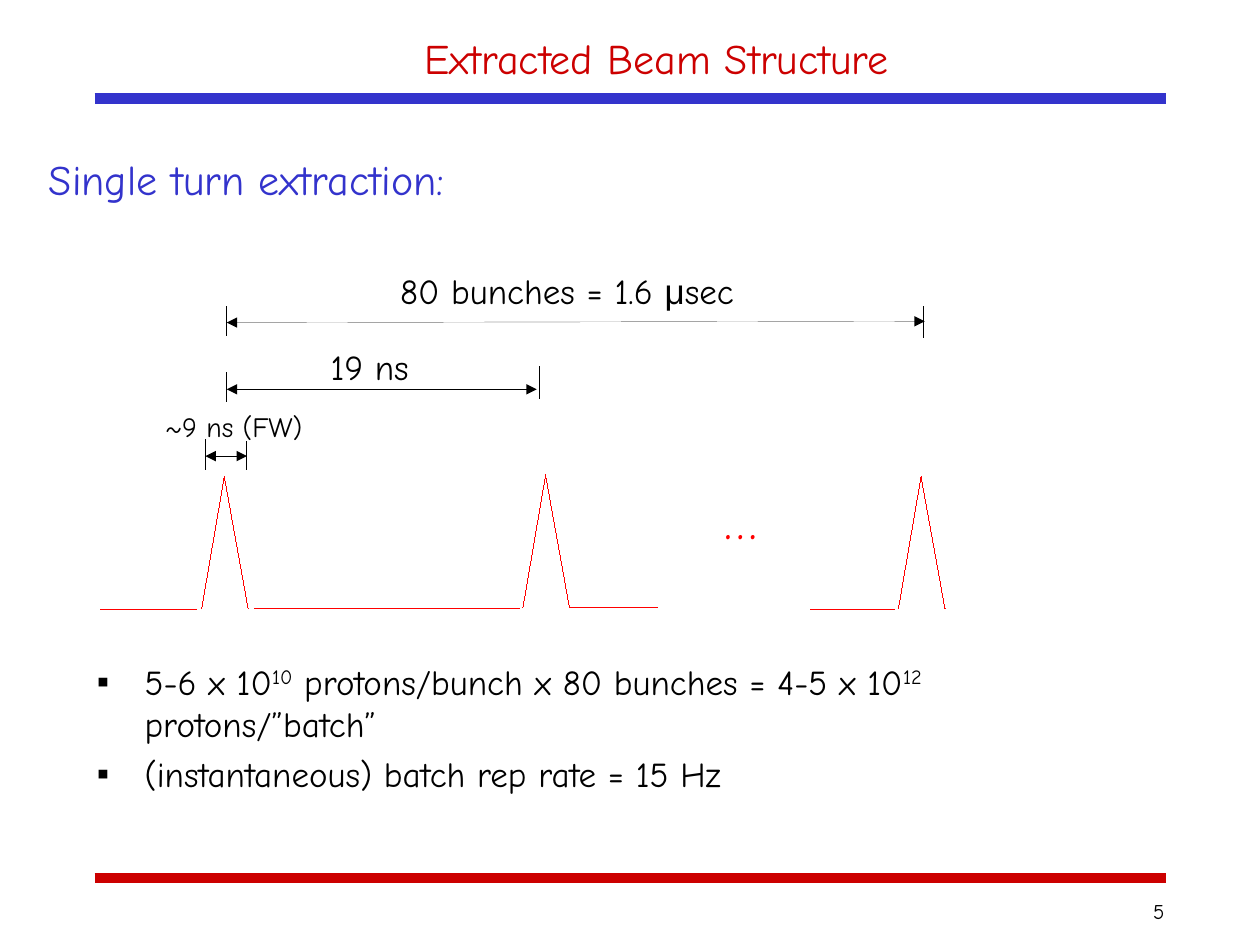
from dataclasses import dataclass

from lxml import etree
from pptx import Presentation, util as u
from pptx.dml.color import RGBColor
from pptx.enum import shapes, text
from pptx.oxml.ns import qn

COLORS = {"red": "CC0000", "blue": "3333CC", "signal": "FF0000", "ink": "000000"}
BODY_FONT, SYMBOL_FONT = "Comic Neue", "Arial"
LEFT, CENTER, RIGHT = text.PP_ALIGN.LEFT, text.PP_ALIGN.CENTER, text.PP_ALIGN.RIGHT
HAIRLINE = 0
PULSE_HEIGHT, PULSE_RISE, PULSE_FALL = 1.05, 0.18, 0.19
BULLET_INDENT = 0.38


@dataclass
class Run:
    words: str
    font: str = BODY_FONT
    superscript: bool = False


@dataclass
class Label:
    left: float
    top: float
    width: float
    height: float
    size: float
    color: str
    paragraphs: list[list[Run]]
    align: text.PP_ALIGN = CENTER
    bullet: str = ""
    anchor: text.MSO_ANCHOR = text.MSO_ANCHOR.TOP


@dataclass
class Line:
    x1: float
    y1: float
    x2: float
    y2: float
    color: str = "signal"
    width: float = HAIRLINE
    arrows: bool = False


@dataclass
class Pulse:
    peak: float
    base: float


@dataclass
class Span:
    """A double-headed arrow between two end ticks."""
    arrow: Line
    ticks: list[Line]


def tick(x: float, top: float, bottom: float) -> Line:
    return Line(x, top, x, bottom, "ink")


def arrow(x1: float, y1: float, x2: float, y2: float) -> Line:
    return Line(x1, y1, x2, y2, "ink", arrows=True)


def draw_line(page, line: Line) -> None:
    connector = page.shapes.add_connector(
        shapes.MSO_CONNECTOR.STRAIGHT,
        u.Inches(line.x1), u.Inches(line.y1), u.Inches(line.x2), u.Inches(line.y2))
    connector.line.color.rgb = RGBColor.from_string(COLORS[line.color])
    outline = connector.line._get_or_add_ln()
    # line.width drops a zero, which would bring back the theme's thicker line
    outline.set("w", str(u.Pt(line.width)))
    if line.arrows:
        for end in ("a:headEnd", "a:tailEnd"):
            etree.SubElement(outline, qn(end), type="triangle")
    etree.SubElement(connector._element.spPr, qn("a:effectLst"))


def draw_pulse(page, pulse: Pulse) -> None:
    top = pulse.base - PULSE_HEIGHT
    draw_line(page, Line(pulse.peak - PULSE_RISE, pulse.base, pulse.peak, top))
    draw_line(page, Line(pulse.peak, top, pulse.peak + PULSE_FALL, pulse.base))


def draw_span(page, span: Span) -> None:
    for line in [*span.ticks, span.arrow]:
        draw_line(page, line)


def add_bullet(para, mark: str) -> None:
    properties = para._p.get_or_add_pPr()
    properties.set("marL", str(u.Inches(BULLET_INDENT)))
    properties.set("indent", str(-u.Inches(BULLET_INDENT)))
    etree.SubElement(properties, qn("a:buFont"), typeface=SYMBOL_FONT)
    etree.SubElement(properties, qn("a:buChar"), char=mark)


def draw_label(page, label: Label) -> None:
    box = page.shapes.add_textbox(u.Inches(label.left), u.Inches(label.top),
                                  u.Inches(label.width), u.Inches(label.height))
    frame = box.text_frame
    frame.word_wrap = True
    frame.vertical_anchor = label.anchor
    for index, runs in enumerate(label.paragraphs):
        para = frame.add_paragraph() if index else frame.paragraphs[0]
        if label.bullet:
            add_bullet(para, label.bullet)
        para.alignment = label.align
        if index:
            para.space_before = u.Pt(5)
        for run in runs:
            span = para.add_run()
            span.text = run.words
            span.font.name = run.font
            span.font.size = u.Pt(label.size)
            span.font.color.rgb = RGBColor.from_string(COLORS[label.color])
            if run.superscript:
                span._r.get_or_add_rPr().set("baseline", "30000")


# Rules above and below the content
RULES = [Line(0.75, 6.97, 9.25, 6.97, "red", 6),
         Line(0.75, 0.78, 9.25, 0.78, "blue", 6)]

# Beam signal: baselines and bunches
BASELINES = [Line(0.8, 4.84, 1.56, 4.84), Line(2.02, 4.83, 4.12, 4.83),
             Line(4.52, 4.82, 5.22, 4.82), Line(6.43, 4.84, 7.1, 4.84)]
PULSES = [Pulse(1.78, 4.83), Pulse(4.33, 4.82), Pulse(7.31, 4.83)]

# Time measurements: bunch width, bunch spacing, whole batch
SPANS = [
    Span(arrow(1.63, 3.62, 1.96, 3.62), [tick(1.63, 3.49, 3.73), tick(1.96, 3.5, 3.73)]),
    Span(arrow(1.8, 3.09, 4.26, 3.09), [tick(1.8, 2.96, 3.19), tick(4.28, 2.91, 3.16)]),
    Span(arrow(1.8, 2.56, 7.34, 2.55), [tick(1.8, 2.43, 2.66), tick(7.33, 2.43, 2.68)]),
]

LABELS = [
    # Header
    Label(1.67, 0.17, 7.08, 0.58, 24, "red", [[Run("Extracted Beam Structure")]],
          anchor=text.MSO_ANCHOR.MIDDLE),
    Label(0.29, 1.17, 3.95, 0.5, 24, "blue", [[Run("Single turn extraction:")]], LEFT),
    # Diagram
    Label(0.93, 3.2, 1.85, 0.37, 16, "ink", [[Run("~9 ns (FW)")]]),
    Label(2.26, 2.69, 1.35, 0.44, 20, "ink", [[Run("19 ns")]]),
    Label(2.96, 2.09, 3.08, 0.44, 20, "ink",
          [[Run("80 bunches = 1.6 "), Run("μ", SYMBOL_FONT), Run("sec")]]),
    Label(5.56, 3.84, 0.64, 0.57, 28, "signal", [[Run("…")]]),
    # Intensity figures
    Label(0.67, 5.19, 8.5, 1.36, 20, "ink",
          [[Run("5-6 x 10"), Run("10", superscript=True),
            Run(" protons/bunch x 80 bunches = 4-5 x 10"), Run("12", superscript=True),
            Run(" protons/”batch”")],
           [Run("(instantaneous) batch rep rate = 15 Hz")]],
          LEFT, bullet="▪"),
    # Page number
    Label(8.42, 7.08, 0.92, 0.42, 12, "ink", [[Run("5")]], RIGHT),
]


def main() -> None:
    deck = Presentation()
    deck.slide_width, deck.slide_height = u.Inches(10), u.Inches(7.5)
    page = deck.slides.add_slide(deck.slide_layouts[6])
    for line in RULES + BASELINES:
        draw_line(page, line)
    for pulse in PULSES:
        draw_pulse(page, pulse)
    for span in SPANS:
        draw_span(page, span)
    for label in LABELS:
        draw_label(page, label)
    deck.save("out.pptx")


if __name__ == "__main__":
    main()
